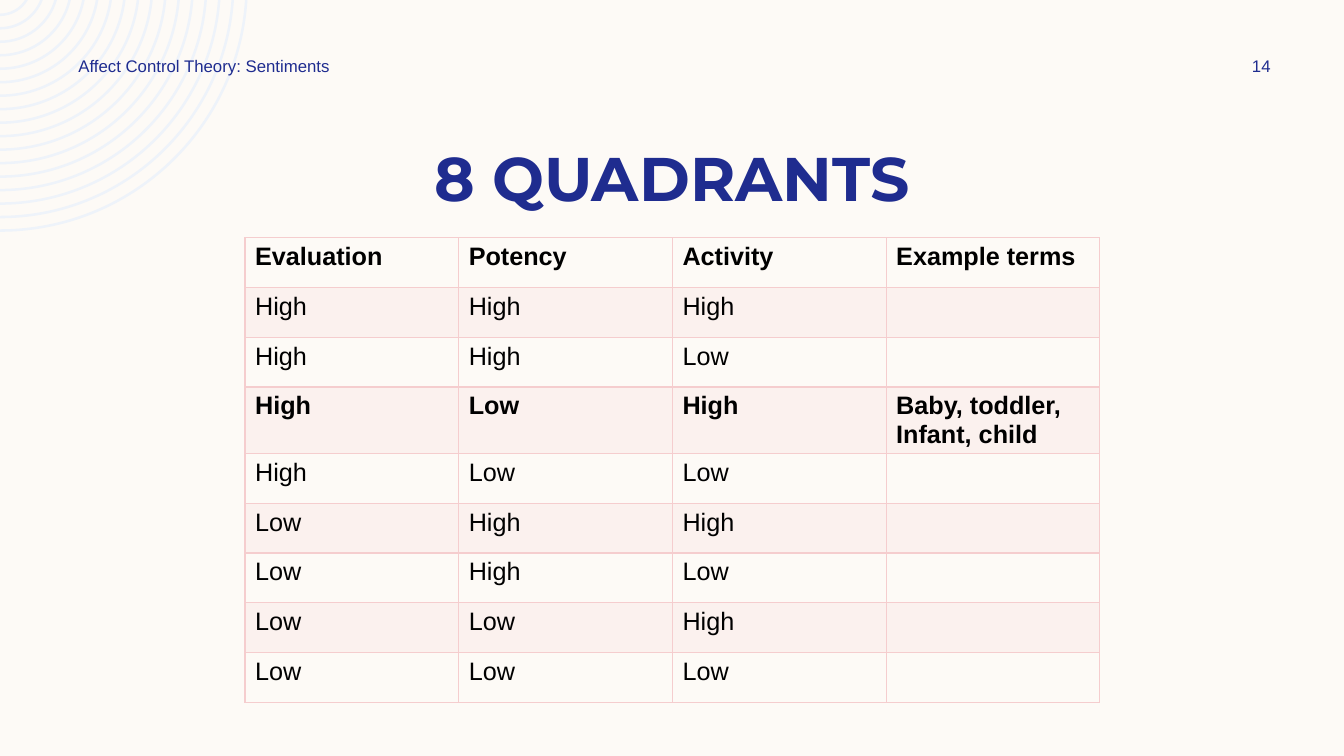
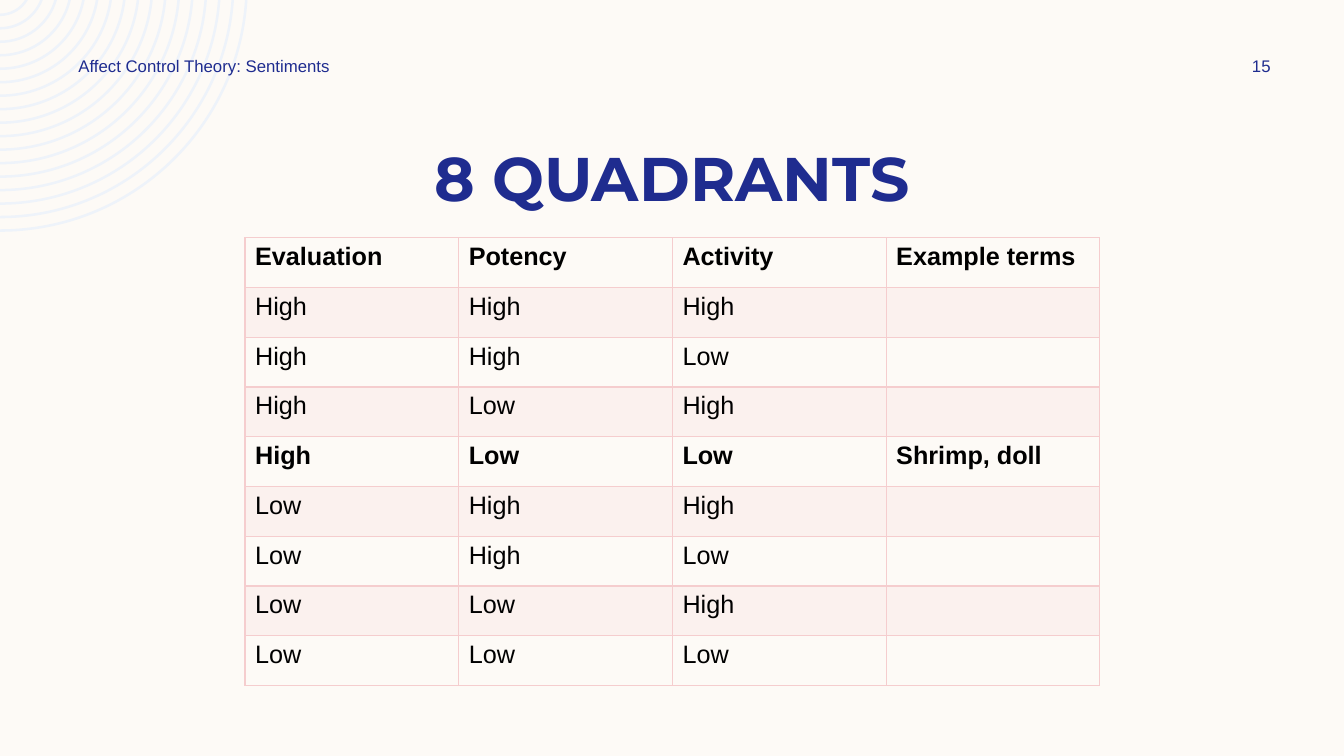
from itertools import product
from math import asin, cos, pi, sin, tan

from pptx import Presentation
from pptx.dml.color import RGBColor
from pptx.enum.text import MSO_ANCHOR as Anchor, PP_ALIGN as Align
from pptx.oxml import parse_xml
from pptx.oxml.ns import nsdecls, qn
from pptx.util import Inches, Pt

COLORS = {
    "background": "FDFAF6",
    "rings": "EEF3FA",
    "navy": "1F2C8F",
    "pink": "F5CDCE",
    "text": "000000",
}
WIDTH, HEIGHT = 13.33, 7.5
TITLE_BOX = (0.83, 1.33, 11.67, 0.84)
TABLE_BOX = (2.43, 2.36, 8.48, 4.44)
FOOTER_BOX = (0.68, 0.5, 3.5, 0.3)
NUMBER_BOX = (11.97, 0.5, 1.08, 0.3)
TITLE_ONLY = 5
PLAIN_GRID_STYLE = "{5940675A-B579-460E-94D1-54222C63F5DA}"

HEADERS = ("Evaluation", "Potency", "Activity", "Example terms")
QUADRANTS = list(product(("High", "Low"), repeat=3))
SLIDES = [
    (14, ("High", "Low", "High"), ["Baby, toddler,", "Infant, child"]),
    (15, ("High", "Low", "Low"), ["Shrimp, doll"]),
]


def color(name):
    return RGBColor.from_string(COLORS[name])


def place(shape, box):
    shape.left, shape.top, shape.width, shape.height = map(Inches, box)


def add_run(paragraph, text, size, color_name, font="Arial", bold=False):
    run = paragraph.add_run()
    run.text = text
    run.font.name = font
    run.font.size = Pt(size)
    run.font.bold = bold
    run.font.color.rgb = color(color_name)


def arc_points(radius, center_y):
    start = asin(-center_y / radius)
    reach = 4 / 3 * tan((pi / 2 - start) / 4)
    start_x, start_y = radius * cos(start), center_y + radius * sin(start)
    end_y = center_y + radius
    points = [
        (start_x, start_y),
        (start_x - reach * radius * sin(start), start_y + reach * radius * cos(start)),
        (reach * radius, end_y),
        (0, end_y),
    ]
    return [(Inches(x), Inches(y)) for x, y in points]


def curve_line(line, points):
    point_xml = "".join(f'<a:pt x="{x}" y="{y}"/>' for x, y in points)
    curve = parse_xml(f'<a:cubicBezTo {nsdecls("a")}>{point_xml}</a:cubicBezTo>')
    line.getparent().replace(line, curve)


def add_rings(slide, count=17, largest=2.46, smallest=0.32, thickness=0.025, center_y=-0.16):
    gap = (largest - smallest) / (count - 1)
    arcs = []
    for index in range(count):
        radius = largest - gap * index
        outer = arc_points(radius, center_y)
        inner = arc_points(radius - thickness, center_y)[::-1]
        arcs += [outer, inner]
    builder = slide.shapes.build_freeform(*arcs[0][0])
    for outer, inner in zip(arcs[::2], arcs[1::2]):
        if outer is not arcs[0]:
            builder.move_to(*outer[0])
        builder.add_line_segments([outer[-1], inner[0], inner[-1]], close=True)
    rings = builder.convert_to_shape()
    lines = list(rings.element.iter(qn("a:lnTo")))
    for index in range(count):
        curve_line(lines[3 * index], arcs[2 * index][1:])
        curve_line(lines[3 * index + 2], arcs[2 * index + 1][1:])
    rings.shadow.inherit = False
    rings.fill.solid()
    rings.fill.fore_color.rgb = color("rings")
    rings.line.fill.background()
    return rings


def style_template(presentation, layout):
    background = presentation.slide_master.background.fill
    background.solid()
    background.fore_color.rgb = color("background")
    place(layout.placeholders[0], TITLE_BOX)


def add_title(slide, text):
    title = slide.shapes.title
    title.text_frame.vertical_anchor = Anchor.MIDDLE
    paragraph = title.text_frame.paragraphs[0]
    paragraph.alignment = Align.CENTER
    add_run(paragraph, text, 44, "navy", "Montserrat", True)


def add_label(slide, box, text, alignment):
    label = slide.shapes.add_textbox(*map(Inches, box))
    label.text_frame.word_wrap = True
    label.text_frame.vertical_anchor = Anchor.MIDDLE
    paragraph = label.text_frame.paragraphs[0]
    paragraph.alignment = alignment
    add_run(paragraph, text, 12, "navy")


def style_cell(cell, shaded):
    if shaded:
        cell.fill.solid()
        cell.fill.fore_color.rgb = color("pink")
    else:
        cell.fill.background()
    properties = cell._tc.get_or_add_tcPr()
    for shade in properties.iter(qn("a:srgbClr")):
        shade.append(parse_xml(f'<a:alpha {nsdecls("a")} val="20000"/>'))
    for index, side in enumerate("LRTB"):
        properties.insert(index, parse_xml(
            f'<a:ln{side} {nsdecls("a")} w="{Pt(1)}"><a:solidFill>'
            f'<a:srgbClr val="{COLORS["pink"]}"/></a:solidFill></a:ln{side}>'))


def fill_cell(cell, lines, bold):
    frame = cell.text_frame
    for index, line in enumerate(lines):
        paragraph = frame.add_paragraph() if index else frame.paragraphs[0]
        add_run(paragraph, line, 18, "text", bold=bold)


def add_quadrant_table(slide, box, highlighted, examples):
    rows = [[[header] for header in HEADERS]]
    for quadrant in QUADRANTS:
        terms = examples if quadrant == highlighted else []
        rows.append([[level] for level in quadrant] + [terms])
    frame = slide.shapes.add_table(len(rows), len(HEADERS), *map(Inches, box))
    table = frame.table
    table.first_row = table.horz_banding = False
    next(frame.element.iter(qn("a:tableStyleId"))).text = PLAIN_GRID_STYLE
    bold_rows = (0, QUADRANTS.index(highlighted) + 1)
    for row_index, row in enumerate(rows):
        for column_index, lines in enumerate(row):
            cell = table.cell(row_index, column_index)
            style_cell(cell, row_index % 2 == 1)
            fill_cell(cell, lines, row_index in bold_rows)


def add_quadrant_slide(presentation, layout, number, highlighted, examples):
    slide = presentation.slides.add_slide(layout)
    add_title(slide, "8 QUADRANTS")
    add_quadrant_table(slide, TABLE_BOX, highlighted, examples)
    add_label(slide, FOOTER_BOX, "Affect Control Theory: Sentiments", Align.LEFT)
    add_label(slide, NUMBER_BOX, str(number), Align.CENTER)
    return slide


def main():
    presentation = Presentation()
    presentation.slide_width, presentation.slide_height = Inches(WIDTH), Inches(HEIGHT)
    layout = presentation.slide_layouts[TITLE_ONLY]
    style_template(presentation, layout)
    slides = [add_quadrant_slide(presentation, layout, *content) for content in SLIDES]
    rings = add_rings(slides[0])
    layout.shapes.element.insert(2, rings.element)
    presentation.save("out.pptx")


if __name__ == "__main__":
    main()
